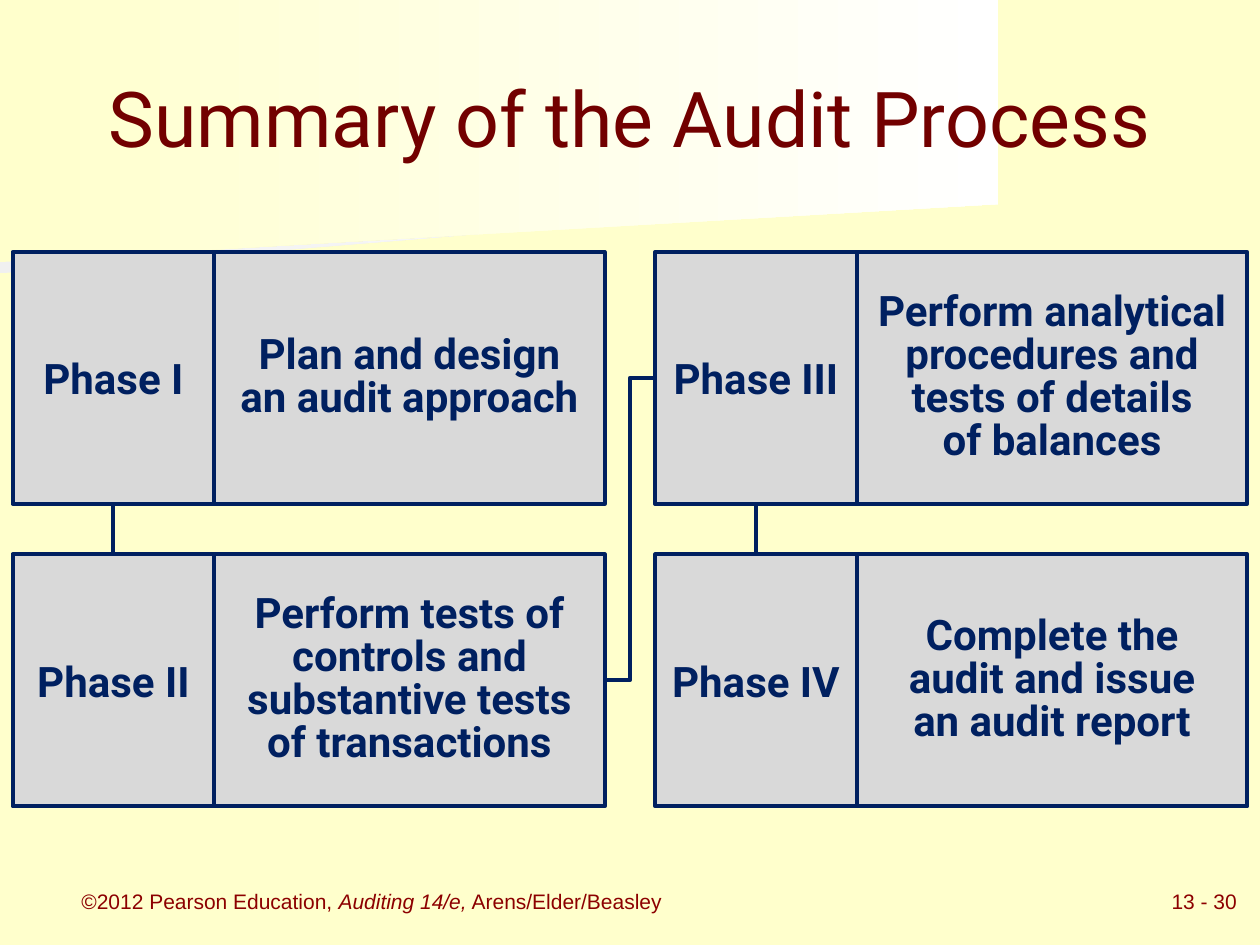
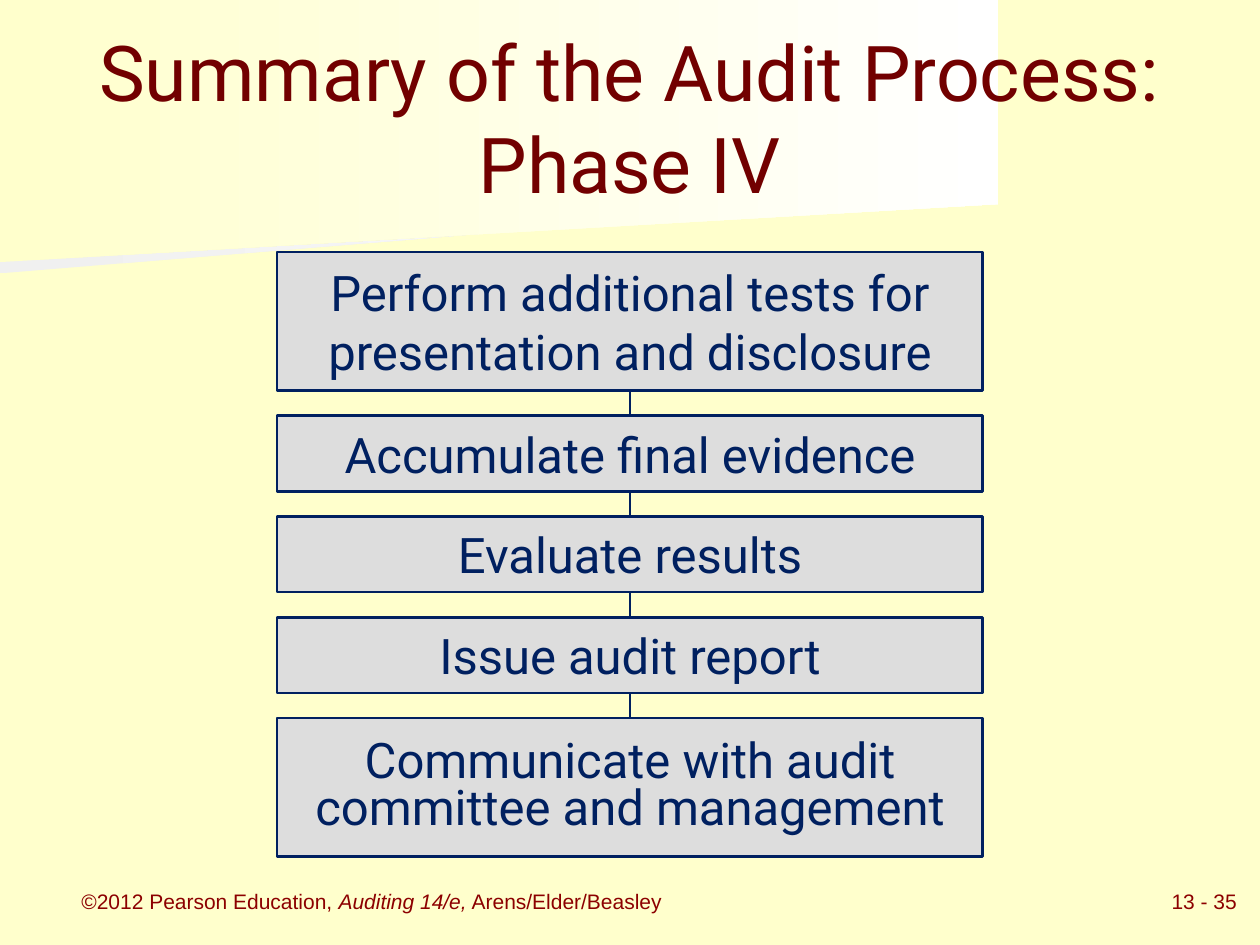
from lxml import etree
from pptx import Presentation
from pptx.dml.color import RGBColor
from pptx.enum.shapes import MSO_CONNECTOR, MSO_SHAPE
from pptx.enum.text import MSO_ANCHOR, MSO_AUTO_SIZE, PP_ALIGN
from pptx.oxml.ns import qn
from pptx.util import Pt

PX = 9144  # EMU per px, 100 px to the inch
CREAM = RGBColor(0xFF, 0xFF, 0xCC)
WHITE = RGBColor(0xFF, 0xFF, 0xFF)
MIST = RGBColor(0xF0, 0xF0, 0xF0)
GREY = RGBColor(0xD9, 0xD9, 0xD9)
PALE = RGBColor(0xDD, 0xDD, 0xDD)
NAVY = RGBColor(0x00, 0x20, 0x60)
WINE = RGBColor(0x72, 0x00, 0x00)
RED = RGBColor(0x8C, 0x00, 0x00)
RECT = MSO_SHAPE.RECTANGLE
LINE, ELBOW = MSO_CONNECTOR.STRAIGHT, MSO_CONNECTOR.ELBOW
LEFT, CENTER = PP_ALIGN.LEFT, PP_ALIGN.CENTER
MIDDLE = MSO_ANCHOR.MIDDLE
FIXED = MSO_AUTO_SIZE.NONE
TOP, WEST, BOTTOM, EAST = range(4)  # connection sites of a rectangle
HEAD, FOOT = "Roboto", "Arial"


class Deck:
    def __init__(self):
        self.prs = Presentation()
        self.prs.slide_width, self.prs.slide_height = 1000 * PX, 750 * PX
        back = self.prs.slide_master.background.fill
        back.solid()
        back.fore_color.rgb = CREAM
        self.slide = None

    def page(self, title, number):
        """Start a slide with its backdrop, title and footer."""
        self.slide = self.prs.slides.add_slide(self.prs.slide_layouts[5])
        self.wedge([(0, 101), (779, 101), (778, 153), (0, 217)], MIST)
        self.wedge([(0, 0), (792, 0), (792, 162), (0, 208)], CREAM)
        self.title(title)
        self.label(0, 590, CENTER, [("©2012 Pearson Education, ", False),
                                    ("Auditing 14/e,", True),
                                    (" Arens/Elder/Beasley", False)])
        self.label(920, 80, LEFT, [(number, False)])

    def place(self, shape, x, y, w, h):
        shape.left, shape.top = x * PX, y * PX
        shape.width, shape.height = w * PX, h * PX

    def style(self, para, name, size, color, align, bold=False):
        font = para.font
        font.name, font.size, font.bold = name, Pt(size), bold
        font.color.rgb = color
        para.alignment = align

    def wedge(self, points, color):
        path = self.slide.shapes.build_freeform(*points[0], scale=PX)
        path.add_line_segments(points[1:])
        shape = path.convert_to_shape()
        shape.shadow.inherit = False
        shape.line.fill.background()
        shape.fill.gradient()
        shape.fill.gradient_angle = 0
        for stop, tone, pos in zip(shape.fill.gradient_stops, (color, WHITE), (0, 1)):
            stop.color.rgb, stop.position = tone, pos

    def title(self, text):
        shape = self.slide.shapes.title
        # Bring the title in front of the wedges
        shape.element.getparent().append(shape.element)
        self.place(shape, 50, 30, 900, 125)
        frame = shape.text_frame
        frame.text = text
        frame.auto_size, frame.vertical_anchor = FIXED, MIDDLE
        self.style(frame.paragraphs[0], HEAD, 44, WINE, CENTER)

    def label(self, x, w, align, runs):
        box = self.slide.shapes.add_textbox(x * PX, 700 * PX, w * PX, 30 * PX)
        frame = box.text_frame
        frame.word_wrap, frame.vertical_anchor = False, MIDDLE
        para = frame.paragraphs[0]
        self.style(para, FOOT, 12, RED, align)
        for text, slant in runs:
            run = para.add_run()
            run.text = text
            if slant:
                run.font.italic = True

    def box(self, x, y, w, h, text, fill, line, size, bold=False, space=1.0):
        """Draw a framed box; each line of text is a paragraph."""
        shape = self.slide.shapes.add_shape(RECT, x * PX, y * PX, w * PX, h * PX)
        shape.shadow.inherit = False
        shape.fill.solid()
        shape.fill.fore_color.rgb = fill
        shape.line.color.rgb, shape.line.width = NAVY, Pt(line)
        frame = shape.text_frame
        frame.text = text
        frame.word_wrap, frame.vertical_anchor = False, MIDDLE
        for para in frame.paragraphs:
            para.line_spacing = space
            self.style(para, HEAD, size, NAVY, CENTER, bold)
        return shape

    def link(self, start, end, width, kind=LINE, sites=(BOTTOM, TOP)):
        wire = self.slide.shapes.add_connector(kind, 0, 0, 0, 0)
        wire.begin_connect(start, sites[0])
        wire.end_connect(end, sites[1])
        wire.line.color.rgb, wire.line.width = NAVY, Pt(width)
        etree.SubElement(wire.element.spPr, qn("a:effectLst"))


PHASES = [
    ("Phase I", "Plan and design\nan audit approach"),
    ("Phase II", "Perform tests of\ncontrols and\nsubstantive tests\nof transactions"),
    ("Phase III", "Perform analytical\nprocedures and\ntests of details\nof balances"),
    ("Phase IV", "Complete the\naudit and issue\nan audit report"),
]
STEPS = [  # text, height, line spacing
    ("Perform additional tests for\npresentation and disclosure", 110, 1.0),
    ("Accumulate final evidence", 60, 1.0),
    ("Evaluate results", 60, 1.0),
    ("Issue audit report", 60, 1.0),
    ("Communicate with audit\ncommittee and management", 110, 0.8),
]


def phases(deck):
    deck.page("Summary of the Audit Process", "13 - 30")
    names, tasks = [], []
    # Two columns, filled downwards
    for i, (name, task) in enumerate(PHASES):
        x, y = 10 + i // 2 * 510, 200 + i % 2 * 240
        names.append(deck.box(x, y, 160, 200, name, GREY, 2.25, 24, True))
        tasks.append(deck.box(x + 160, y, 310, 200, task, GREY, 2.25, 24, True, 0.85))
    deck.link(names[0], names[1], 2.25)
    deck.link(tasks[1], names[2], 2.25, ELBOW, (EAST, WEST))
    deck.link(names[2], names[3], 2.25)


def steps(deck):
    deck.page("Summary of the Audit Process: Phase IV", "13 - 35")
    y, last = 200, None
    # Chain of boxes with equal gaps
    for text, h, space in STEPS:
        box = deck.box(220, y, 560, h, text, PALE, 1.5, 28, space=space)
        if last:
            deck.link(last, box, 1.5)
        y, last = y + h + 20, box


def main():
    deck = Deck()
    phases(deck)
    steps(deck)
    deck.prs.save("out.pptx")


if __name__ == "__main__":
    main()
